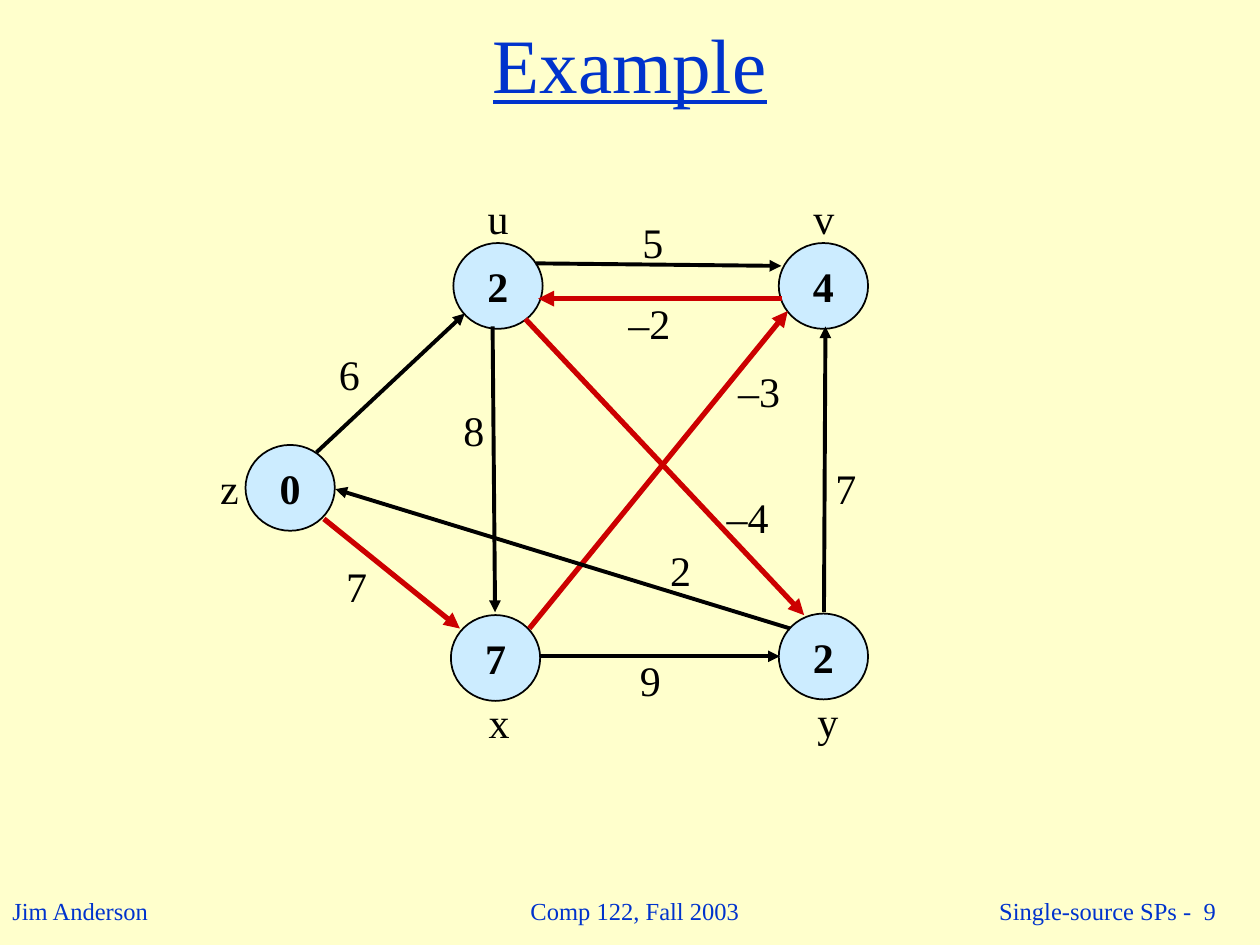
"""Build a slide showing a weighted graph with shortest-path estimates."""
import pptx
import pptx.dml.color
import pptx.enum.shapes
import pptx.enum.text
import pptx.oxml
import pptx.oxml.ns
import pptx.util

Cm = pptx.util.Cm
Pt = pptx.util.Pt
Align = pptx.enum.text.PP_ALIGN
Anchor = pptx.enum.text.MSO_ANCHOR
Fit = pptx.enum.text.MSO_AUTO_SIZE
hues = {"page": "FFFFCC", "head": "0033CC", "node": "CCECFF", "ink": "000000", "path": "CC0000"}


def tint(name):
    return pptx.dml.color.RGBColor.from_string(hues[name])


def write(shape, runs, size, hue, align=Align.LEFT, mid=False, wrap=False, bold=False, line=False):
    frame = shape.text_frame
    frame.word_wrap = wrap
    frame.vertical_anchor = Anchor.MIDDLE if mid else Anchor.TOP
    frame.auto_size = Fit.NONE if mid else Fit.SHAPE_TO_FIT_TEXT
    para = frame.paragraphs[0]
    para.alignment = align
    for text in runs:
        run = para.add_run()
        run.text = text
        font = run.font
        font.name = "Times New Roman"
        font.size = Pt(size)
        font.bold = bold
        font.underline = line
        font.color.rgb = tint(hue)


deck = pptx.Presentation()
deck.slide_width = Cm(25.4)
deck.slide_height = Cm(19.05)
slide = deck.slides.add_slide(deck.slide_layouts[6])
slide.background.fill.solid()
slide.background.fill.fore_color.rgb = tint("page")
shapes = slide.shapes

feet = [
    (["Jim Anderson"], 0, 17.93, 3.28, 0.86, Align.LEFT, False),
    (["Comp 122, Fall 2003"], 10.16, 17.73, 5.28, 1.27, Align.CENTER, True),
    ([" Single-source SPs - ", " 9"], 22.23, 17.83, 2.54, 1.07, Align.RIGHT, True),
]
for runs, left, top, wide, high, align, mid in feet:
    box = shapes.add_textbox(Cm(left), Cm(top), Cm(wide), Cm(high))
    write(box, runs, 14, "head", align, mid)

title = shapes.add_textbox(0, 0, deck.slide_width, Cm(2.54))
write(title, ["Example"], 44, "head", Align.CENTER, mid=True, wrap=True, line=True)

nodes = [
    ("0", 4.95, 8.97),
    ("2", 15.7, 12.37),
    ("7", 9.09, 12.4),
    ("4", 15.7, 4.9),
    ("2", 9.14, 4.9),
]
for cost, left, top in nodes:
    node = shapes.add_shape(
        pptx.enum.shapes.MSO_SHAPE.OVAL, Cm(left), Cm(top), Cm(1.8), Cm(1.73))
    node.shadow.inherit = False
    node.fill.solid()
    node.fill.fore_color.rgb = tint("node")
    node.line.color.rgb = tint("ink")
    node.line.width = Pt(1)
    write(node, [cost], 24, "ink", Align.CENTER, mid=True, bold=True)

edges = [
    (6.38, 9.12, 9.37, 6.32, "ink"),
    (6.53, 10.46, 9.27, 12.67, "path"),
    (9.93, 6.58, 9.98, 12.34, "ink"),
    (16.61, 12.34, 16.64, 6.58, "ink"),
    (10.9, 13.23, 15.72, 13.23, "ink"),
    (10.8, 5.31, 15.75, 5.36, "ink"),
    (10.67, 12.67, 15.88, 6.27, "path"),
    (15.93, 12.67, 6.76, 9.86, "ink"),
    (15.77, 6.02, 10.85, 6.02, "path"),
    (10.59, 6.43, 16.21, 12.4, "path"),
]
for *ends, hue in edges:
    edge = shapes.add_connector(
        pptx.enum.shapes.MSO_CONNECTOR.STRAIGHT, *[Cm(end) for end in ends])
    edge.line.color.rgb = tint(hue)
    edge.line.width = Pt(3 if hue == "path" else 2.25)
    tail = pptx.oxml.parse_xml(
        f'<a:tailEnd {pptx.oxml.ns.nsdecls("a")} type="triangle"/>')
    edge.line._get_or_add_ln().append(tail)
    flat = pptx.oxml.parse_xml(f'<a:effectLst {pptx.oxml.ns.nsdecls("a")}/>')
    edge._element.spPr.append(flat)

labels = [
    ("z", 4.19, 9.19),
    ("u", 9.58, 3.76),
    ("v", 16.15, 3.76),
    ("x", 9.6, 13.92),
    ("y", 16.23, 13.89),
    ("6", 6.58, 6.91),
    ("5", 12.7, 4.24),
    ("–3", 14.63, 7.24),
    ("9", 12.65, 13.06),
    ("7", 16.59, 9.19),
    ("7", 6.73, 11.18),
    ("8", 9.09, 8.03),
    ("–2", 12.42, 5.87),
    ("–4", 14.4, 9.78),
    ("2", 13.26, 10.85),
]
for text, left, top in labels:
    wide = 0.91 if len(text) == 1 else 1.35
    box = shapes.add_textbox(Cm(left), Cm(top), Cm(wide), Cm(1.27))
    write(box, [text], 24, "ink")

deck.save("out.pptx")
